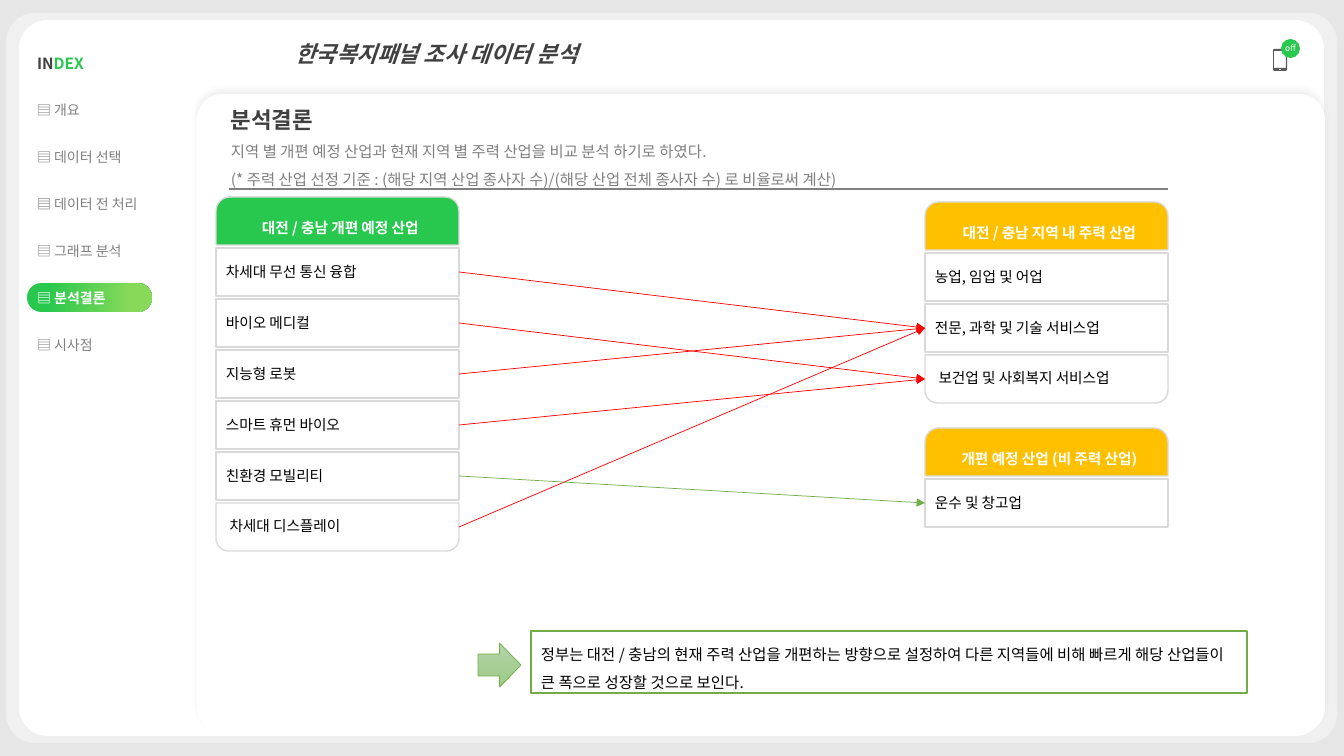
"""Build the conclusion slide that links planned and leading regional industries."""
from lxml import etree
from pptx import Presentation
from pptx.dml.color import RGBColor
from pptx.enum.shapes import MSO_CONNECTOR, MSO_SHAPE
from pptx.enum.text import MSO_ANCHOR, MSO_AUTO_SIZE, PP_ALIGN
from pptx.oxml.ns import qn
from pptx.util import Pt

PX = 12192000 / 1344
FONT = "Noto Sans CJK KR"
ROUND, HALF_ROUND = MSO_SHAPE.ROUNDED_RECTANGLE, MSO_SHAPE.ROUND_2_SAME_RECTANGLE
OVAL, RECT, ARROW = MSO_SHAPE.OVAL, MSO_SHAPE.RECTANGLE, MSO_SHAPE.RIGHT_ARROW
STRAIGHT = MSO_CONNECTOR.STRAIGHT
TOP, MIDDLE = MSO_ANCHOR.TOP, MSO_ANCHOR.MIDDLE
LEFT, CENTER = PP_ALIGN.LEFT, PP_ALIGN.CENTER
GROW = MSO_AUTO_SIZE.SHAPE_TO_FIT_TEXT
NO_GRID_STYLE = "{2D5ABB26-0587-4C30-8999-92F81FD0307C}"

WHITE, BLACK = RGBColor(255, 255, 255), RGBColor(0, 0, 0)
BACKDROP, BORDER = RGBColor(0xE7, 0xE6, 0xE6), RGBColor(0xD9, 0xD9, 0xD9)
DARK, GRAY, PHONE = RGBColor(0x40, 0x40, 0x40), RGBColor(0x80, 0x80, 0x80), RGBColor(0x59, 0x59, 0x59)
GREEN, LIME = RGBColor(0x28, 0xC8, 0x4E), RGBColor(0x88, 0xD9, 0x59)
AMBER, RED, LEAF = RGBColor(0xFF, 0xC0, 0), RGBColor(255, 0, 0), RGBColor(0x70, 0xAD, 0x47)
PALE_LEAF, SOFT_LEAF = RGBColor(0xB5, 0xD5, 0xA7), RGBColor(0x9C, 0xC9, 0x87)

TITLE = "한국복지패널 조사 데이터 분석"
INTRO = [
    ("분석결론", 16, DARK, True),
    ("지역 별 개편 예정 산업과 현재 지역 별 주력 산업을 비교 분석 하기로 하였다.", 11, GRAY, False),
    ("(* 주력 산업 선정 기준 : (해당 지역 산업 종사자 수)/(해당 산업 전체 종사자 수) 로 비율로써 계산)", 11, GRAY, False),
]
MENU = [
    [("IN", 11, DARK, True), ("DEX", 11, GREEN, True)],
    [("▤ 개요", 10, GRAY, False)],
    [("▤ 데이터 선택", 10, GRAY, False)],
    [("▤ ", 10, GRAY, True), ("데이터 전 처리", 10, GRAY, False)],
    [("▤ 그래프 분석", 10, GRAY, False)],
    [("▤ 분석결론", 10, WHITE, True)],
    [("▤ 시사점", 10, GRAY, False)],
    [],
    [],
]
STACKS = {
    "planned": (216, 197, GREEN, "대전 / 충남 개편 예정 산업", True,
                ["차세대 무선 통신 융합", "바이오 메디컬", "지능형 로봇",
                 "스마트 휴먼 바이오", "친환경 모빌리티", "차세대 디스플레이"]),
    "leading": (925, 202, AMBER, "대전 / 충남 지역 내 주력 산업", True,
                ["농업, 임업 및 어업", "전문, 과학 및 기술 서비스업", "보건업 및 사회복지 서비스업"]),
    "minor": (925, 428, AMBER, "개편 예정 산업 (비 주력 산업)", False, ["운수 및 창고업"]),
}
LINKS = [(0, "leading", 1, RED), (1, "leading", 2, RED), (2, "leading", 1, RED),
         (3, "leading", 2, RED), (5, "leading", 1, RED), (4, "minor", 0, LEAF)]
CONCLUSION = ("정부는 대전 / 충남의 현재 주력 산업을 개편하는 방향으로 설정하여 "
              "다른 지역들에 비해 빠르게 해당 산업들이 큰 폭으로 성장할 것으로 보인다.")
PHONE_PARTS = [
    [(1274, 49), (1286, 49), (1287, 50), (1287, 70), (1286, 71), (1274, 71), (1273, 70), (1273, 50)],
    [(1274, 51), (1274, 68), (1286, 68), (1286, 51)],
    [(1279, 69), (1279, 70), (1281, 70), (1281, 69)],
]
CELL_WIDTH, CELL_HEIGHT, CELL_PITCH = 243, 48, 51


def emu(*lengths):
    return [round(length * PX) for length in lengths]


def write(para, spans, spacing=None, align=None):
    para.line_spacing = spacing
    para.alignment = align
    for text, size, color, bold in spans:
        span = para.add_run()
        span.text = text
        font = span.font
        font.name, font.size, font.bold, font.color.rgb = FONT, Pt(size), bold, color
        etree.SubElement(span._r.get_or_add_rPr(), qn("a:ea"), typeface=FONT)


def add_box(page, kind, place, fill, line=None, weight=1, adjust=()):
    box = page.shapes.add_shape(kind, *emu(*place))
    box.shadow.inherit = False
    for index, value in enumerate(adjust):
        box.adjustments[index] = value
    if isinstance(fill, RGBColor):
        box.fill.solid()
        box.fill.fore_color.rgb = fill
    else:
        angle, *stops = fill
        box.fill.gradient()
        box.fill.gradient_angle = angle
        for stop, (position, color) in zip(box.fill.gradient_stops, stops):
            stop.position, stop.color.rgb = position, color
    if line is None:
        box.line.fill.background()
    else:
        box.line.color.rgb, box.line.width = line, Pt(weight)
    box.text_frame.vertical_anchor = MIDDLE
    return box


def add_shadow(box, color, alpha, **settings):
    effects = box._element.spPr.find(qn("a:effectLst"))
    shadow = etree.SubElement(effects, qn("a:outerShdw"), algn="ctr", rotWithShape="0", **settings)
    tint = etree.SubElement(shadow, qn("a:srgbClr"), val=str(color))
    etree.SubElement(tint, qn("a:alpha"), val=str(alpha * 1000))


def add_text(page, place, wrap):
    box = page.shapes.add_textbox(*emu(*place))
    box.text_frame.word_wrap = wrap
    box.text_frame.auto_size = GROW
    return box.text_frame


def add_line(page, start, end, color, weight, arrow=False):
    line = page.shapes.add_connector(STRAIGHT, *emu(*start, *end))
    line.line.color.rgb, line.line.width = color, Pt(weight)
    properties = line._element.spPr
    etree.SubElement(properties, qn("a:effectLst"))
    if arrow:
        etree.SubElement(properties.find(qn("a:ln")), qn("a:tailEnd"), type="triangle")


def add_phone(page):
    first, *others = PHONE_PARTS
    builder = page.shapes.build_freeform(*first[0], scale=PX)
    builder.add_line_segments(first[1:])
    for part in others:
        builder.move_to(*part[0])
        builder.add_line_segments(part[1:])
    phone = builder.convert_to_shape()
    phone.shadow.inherit = False
    phone.fill.solid()
    phone.fill.fore_color.rgb = PHONE
    phone.line.fill.background()
    badge = add_box(page, OVAL, (1281, 39, 19, 19), GREEN)
    frame = badge.text_frame
    frame.word_wrap = False
    frame.margin_left, frame.margin_top, frame.margin_right, frame.margin_bottom = emu(4, 4, 4, 4)
    write(frame.paragraphs[0], [("off", 6, WHITE, False)], align=CENTER)


def add_menu(page):
    table = page.shapes.add_table(len(MENU), 1, *emu(27, 34, 161, 47 * len(MENU))).table
    table.first_row = table.horz_banding = False
    table._tbl.tblPr.find(qn("a:tableStyleId")).text = NO_GRID_STYLE
    for row, spans in enumerate(MENU):
        cell = table.cell(row, 0)
        cell.fill.background()
        cell.vertical_anchor = MIDDLE
        write(cell.text_frame.paragraphs[0], spans, 1.5)


def add_stack(page, left, top, color, heading, rounded_end, items):
    size = (CELL_WIDTH, CELL_HEIGHT)
    header = add_box(page, HALF_ROUND, (left, top, *size), color, BORDER, adjust=(0.29, 0))
    write(header.text_frame.paragraphs[0],
          [(" ", 18, WHITE, True), (heading, 10.5, WHITE, True)], align=CENTER)
    for row, item in enumerate(items, 1):
        bottom = 0.26 if rounded_end and row == len(items) else 0
        cell = add_box(page, HALF_ROUND, (left, top + row * CELL_PITCH, *size), WHITE, BORDER,
                       adjust=(0, bottom))
        write(cell.text_frame.paragraphs[0], [(item, 10.5, BLACK, False)], align=LEFT)


def cell_side(stack, row, right=False):
    left, top = STACKS[stack][:2]
    return left + CELL_WIDTH * right, top + (row + 1) * CELL_PITCH + CELL_HEIGHT // 2


def main():
    deck = Presentation()
    deck.slide_width, deck.slide_height = emu(1344, 756)
    page = deck.slides.add_slide(deck.slide_layouts[6])
    page.background.fill.solid()
    page.background.fill.fore_color.rgb = BACKDROP

    card = add_box(page, ROUND, (19, 20, 1305, 716), WHITE, adjust=(0.04,))
    add_shadow(card, WHITE, 40, sx="102000", sy="102000")
    add_box(page, ROUND, (27, 283, 125, 29), [0, (0.16, GREEN), (0.84, LIME)], adjust=(0.5,))
    title = add_text(page, (267, 35, 339, 37), False).paragraphs[0]
    write(title, [(TITLE, 16, DARK, True)], align=CENTER)
    title.runs[0].font.italic = True
    add_phone(page)

    panel = add_box(page, ROUND, (197, 94, 1128, 639), WHITE, adjust=(0.04,))
    add_shadow(panel, BLACK, 5, blurRad=str(Pt(4)), dist=str(Pt(3)), dir="16200000")
    add_line(page, (229, 189), (1168, 189), GRAY, 1)
    intro = add_text(page, (221, 88, 947, 103), True)
    for index, span in enumerate(INTRO):
        write(intro.add_paragraph() if index else intro.paragraphs[0], [span], 1.5)
    add_menu(page)

    for stack in STACKS.values():
        add_stack(page, *stack)
    callout = add_box(page, RECT, (531, 631, 716, 62), WHITE, LEAF)
    callout.text_frame.vertical_anchor = TOP
    callout.text_frame.auto_size = GROW
    write(callout.text_frame.paragraphs[0], [(CONCLUSION, 11, BLACK, False)], 1.5, LEFT)
    add_box(page, ARROW, (478, 643, 43, 44), [270, (0, PALE_LEAF), (1, SOFT_LEAF)], LEAF, 0.5)
    for source, stack, target, color in LINKS:
        add_line(page, cell_side("planned", source, True), cell_side(stack, target), color, 0.5, True)
    deck.save("out.pptx")


if __name__ == "__main__":
    main()
